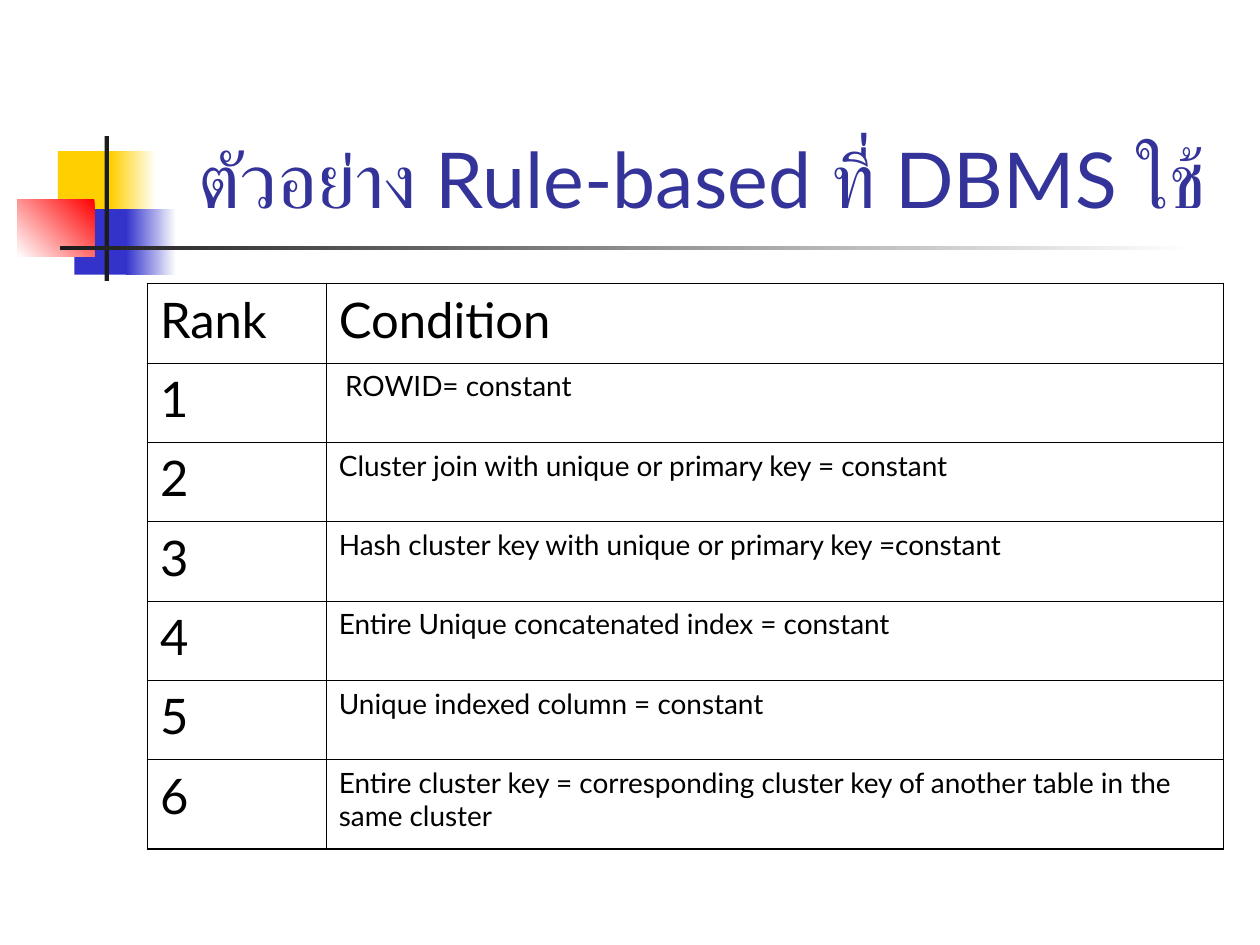
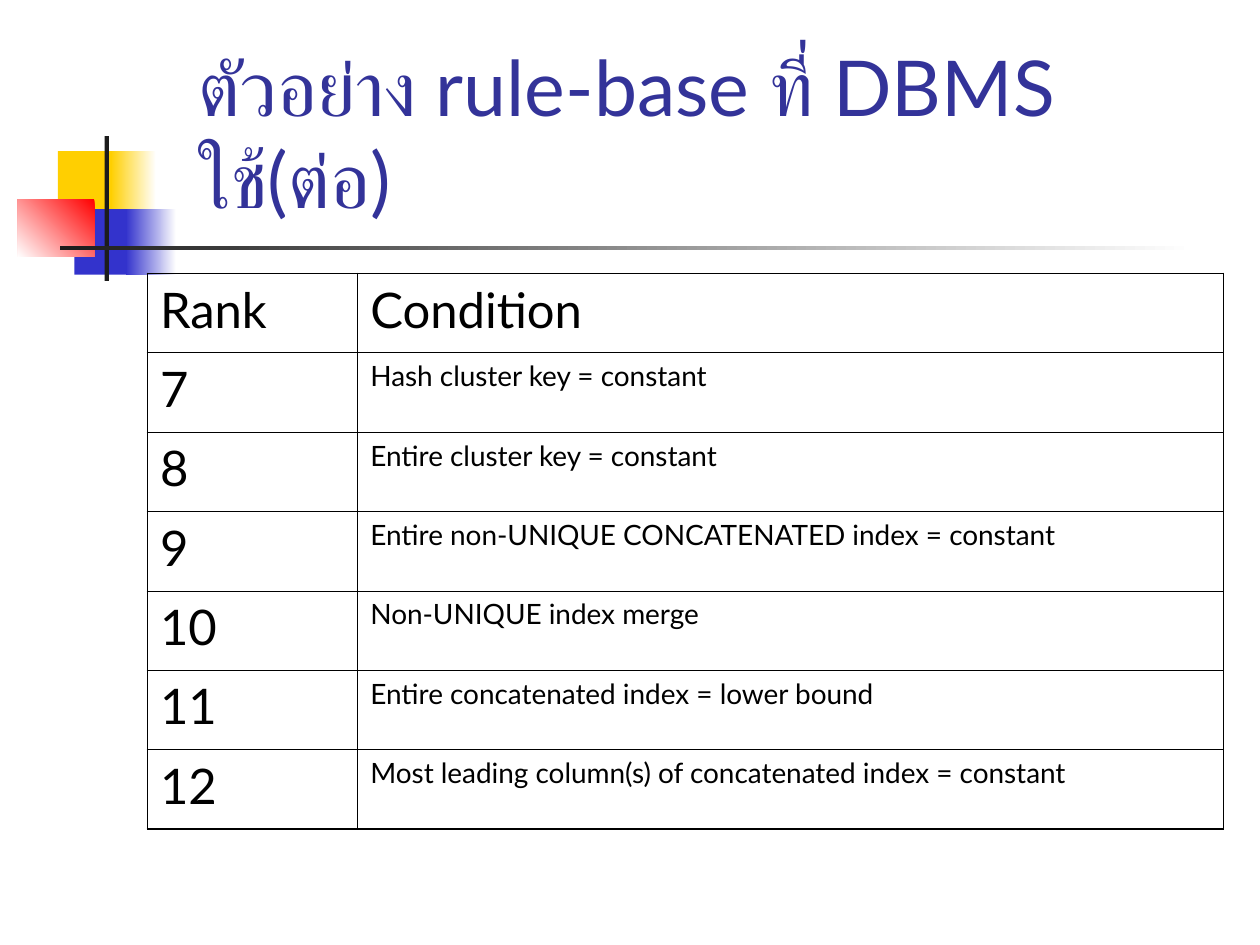
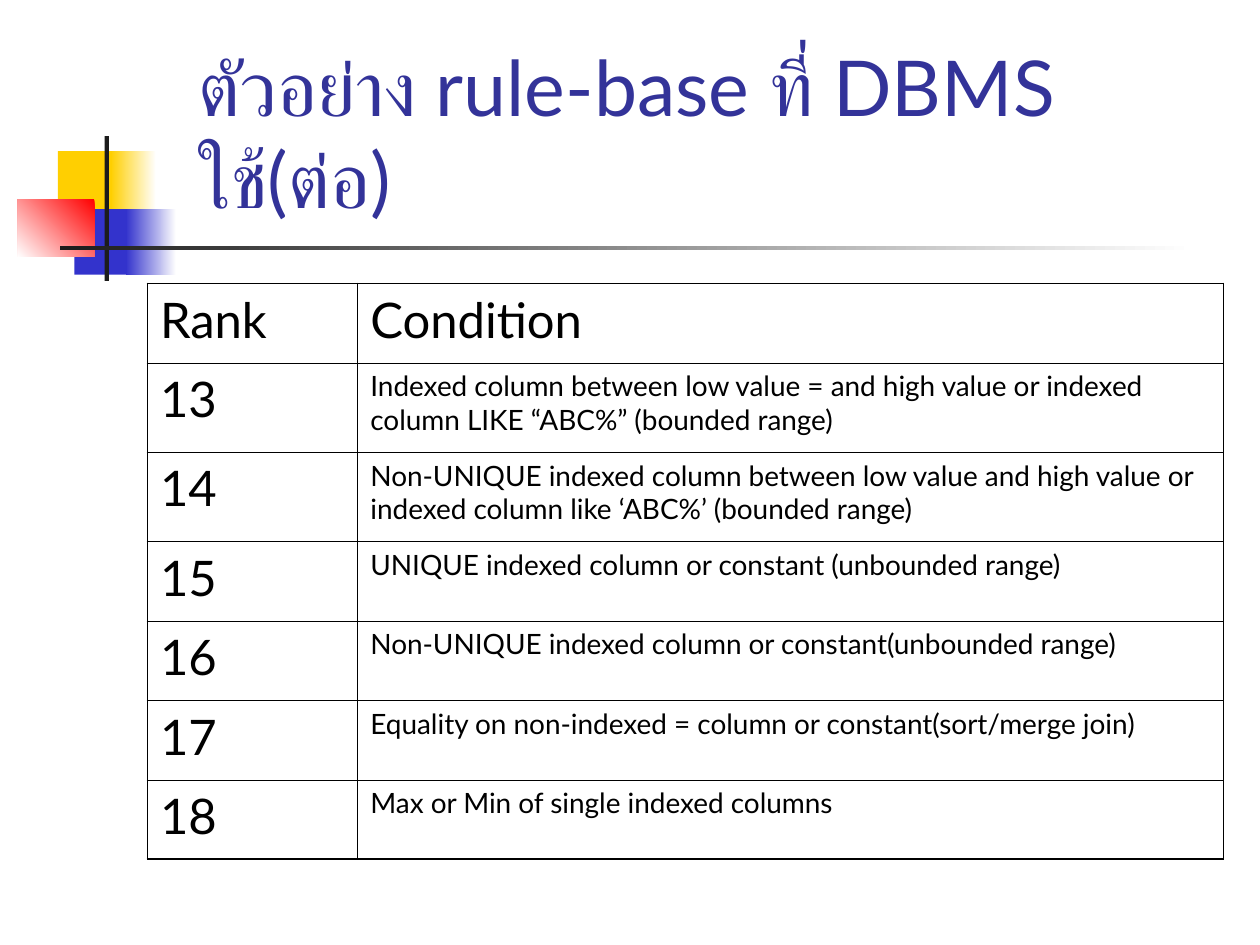
from lxml.etree import SubElement
from pptx import Presentation
from pptx.dml.color import RGBColor
from pptx.enum.shapes import MSO_SHAPE
from pptx.enum.text import MSO_ANCHOR
from pptx.oxml.ns import qn
from pptx.util import Inches, Pt

COLS, ROWS = 100, 75
WHITE, BLACK, GOLD, BLUE, RED, DARK, NAVY = (
    "FFFFFF", "000000", "FFCF01", "3333CC", "FF0000", "1C1C1C", "333399")
HEAD = {"name": "Lato", "size": Pt(44)}
LARGE = {"name": "Lato", "size": Pt(28)}
SMALL = {"name": "Lato", "size": Pt(16)}
FRAME = {"word_wrap": True, "vertical_anchor": MSO_ANCHOR.BOTTOM}
PLAIN = {"first_row": False, "horz_banding": False}
THICK, THIN = 1.08, 0.45
LEFT, WIDTH = 11.7, 85.4
LINE, TALL, LONG = 6.3, 7.1, 70

MOTIF = [
    ((4.6, 12, 4.8, 5.2), [GOLD], 0),
    ((8.8, 12, 3.6, 5.2), [WHITE, GOLD], 180),
    ((5.9, 16.6, 4.6, 5.2), [BLUE], 0),
    ((10, 16.6, 4, 5.2), [WHITE, BLUE], 180),
    ((1.4, 15.8, 6.1, 4.6), [RED, WHITE], 225),
    ((8.3, 10.8, 0.35, 11.5), [DARK], 0),
    ((4.8, 19.5, 90, 0.35), [WHITE, DARK], 180),
]

MORE = "ตัวอย่าง rule-base ที่ DBMS ใช้(ต่อ)"
PAGES = [
    ("ตัวอย่าง Rule-based ที่ DBMS ใช้", 22.5, 14.2, 1, [
        "ROWID= constant",
        "Cluster join with unique or primary key = constant",
        "Hash cluster key with unique or primary key =constant",
        "Entire Unique concatenated index = constant",
        "Unique indexed column = constant",
        "Entire cluster key = corresponding cluster key of another table "
        "in the same cluster",
    ]),
    (MORE, 21.7, 16.7, 7, [
        "Hash cluster key = constant",
        "Entire cluster key = constant",
        "Entire non-UNIQUE CONCATENATED index = constant",
        "Non-UNIQUE index merge",
        "Entire concatenated index = lower bound",
        "Most leading column(s) of concatenated index = constant",
    ]),
    (MORE, 22.5, 16.7, 13, [
        "Indexed column between low value = and high value or indexed "
        "column LIKE “ABC%” (bounded range)",
        "Non-UNIQUE indexed column between low value and high value or "
        "indexed column like ‘ABC%’ (bounded range)",
        "UNIQUE indexed column or constant (unbounded range)",
        "Non-UNIQUE indexed column or constant(unbounded range)",
        "Equality on non-indexed = column or constant(sort/merge join)",
        "Max or Min of single indexed columns",
    ]),
]


def tint(code):
    """Turn a hex string into a colour."""
    return RGBColor.from_string(code)


def apply(item, style):
    """Set each format value on an item."""
    for key, value in style.items():
        setattr(item, key, value)


class Deck:
    """Hold the style and the current slide."""

    def __init__(self):
        """Start a file and size its grid."""
        self.file = Presentation()
        apply(self.file, {"slide_width": Inches(10), "slide_height": Inches(7.5)})
        self.col = self.file.slide_width / COLS
        self.row = self.file.slide_height / ROWS

    def place(self, left, top, width, height):
        """Turn grid units into slide lengths."""
        return (int(left * self.col), int(top * self.row),
                int(width * self.col), int(height * self.row))

    def page(self):
        """Add a slide with its motif."""
        self.slide = self.file.slides.add_slide(self.file.slide_layouts[6])
        for box, codes, angle in MOTIF:
            self.block(box, codes, angle)

    def block(self, box, codes, angle):
        """Draw a plain or graded block."""
        shape = self.slide.shapes.add_shape(MSO_SHAPE.RECTANGLE, *self.place(*box))
        shape.shadow.inherit = False
        shape.line.fill.background()
        if len(codes) == 1:
            shape.fill.solid()
            shape.fill.fore_color.rgb = tint(codes[0])
            return
        shape.fill.gradient()
        shape.fill.gradient_angle = angle
        for stop, code in zip(shape.fill.gradient_stops, codes):
            stop.color.rgb = tint(code)

    def label(self, frame, text, style, code):
        """Put one styled run in a frame."""
        run = frame.paragraphs[0].add_run()
        run.text = text
        apply(run.font, style)
        run.font.color.rgb = tint(code)

    def title(self, text):
        """Add the slide title."""
        box = self.slide.shapes.add_textbox(*self.place(14.8, 2.3, 85.2, 16))
        apply(box.text_frame, FRAME)
        self.label(box.text_frame, text, HEAD, NAVY)

    def edge(self, cell, sides):
        """Rule the four sides of a cell."""
        props = cell._tc.get_or_add_tcPr()
        for side, thick in sides.items():
            line = SubElement(props, qn("a:ln" + side),
                              w=str(Pt(THICK if thick else THIN)))
            fill = SubElement(line, qn("a:solidFill"))
            SubElement(fill, qn("a:srgbClr"), val=BLACK)

    def table(self, top, split, first, rules):
        """Build the table of ranks and conditions."""
        data = [("Rank", "Condition")]
        data += [(str(rank), rule) for rank, rule in enumerate(rules, first)]
        tall = [TALL if len(rule) > LONG else LINE for _, rule in data]
        box = self.place(LEFT, top, WIDTH, sum(tall))
        grid = self.slide.shapes.add_table(len(data), 2, *box).table
        apply(grid, PLAIN)
        for col, width in zip(grid.columns, (split, WIDTH - split)):
            col.width = int(width * self.col)
        for i, pair in enumerate(data):
            grid.rows[i].height = int(tall[i] * self.row)
            for j, text in enumerate(pair):
                cell = grid.cell(i, j)
                self.edge(cell, {"L": j == 0, "R": j == 1,
                                 "T": i == 0, "B": i == len(data) - 1})
                cell.fill.background()
                style = SMALL if i and j else LARGE
                self.label(cell.text_frame, text, style, BLACK)
        if first == 1:
            grid.cell(1, 1).margin_left = Inches(0.15)


def main():
    """Build every slide and save the file."""
    deck = Deck()
    for title, top, split, first, rules in PAGES:
        deck.page()
        deck.title(title)
        deck.table(top, split, first, rules)
    deck.file.save("out.pptx")


if __name__ == "__main__":
    main()
